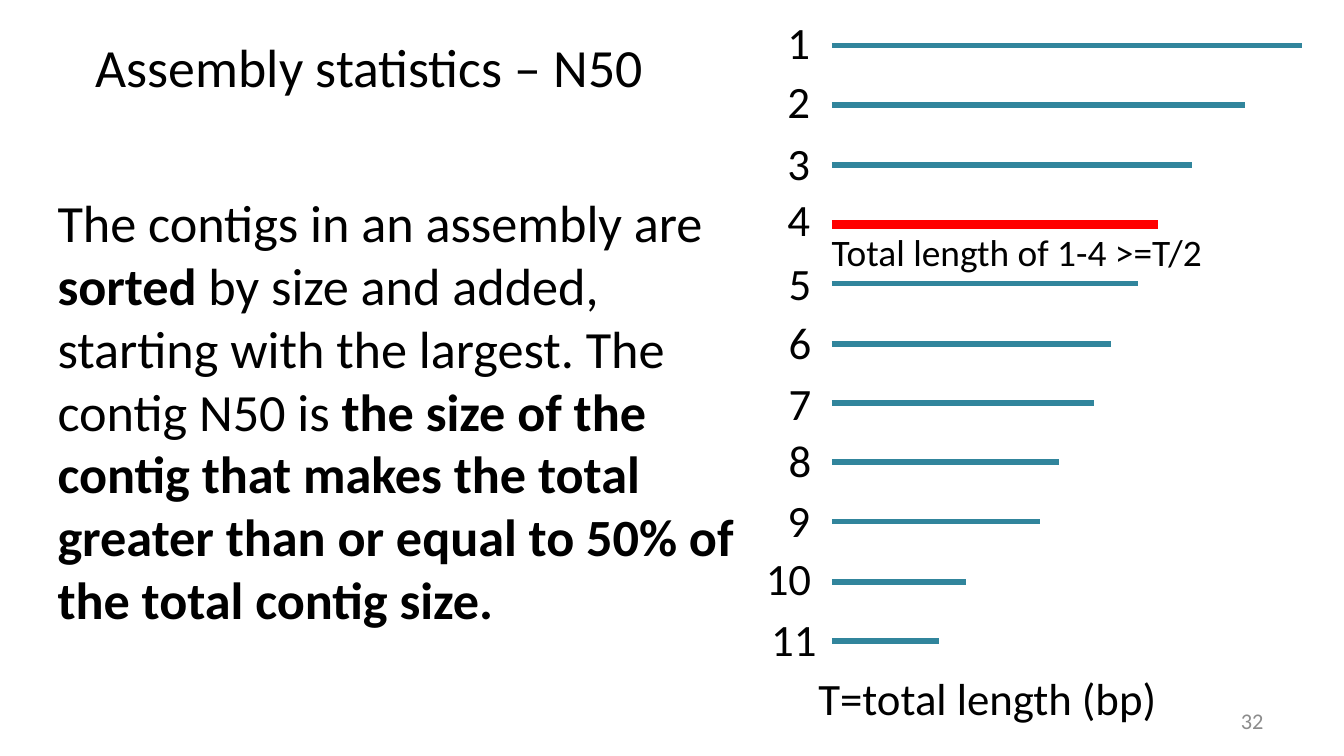
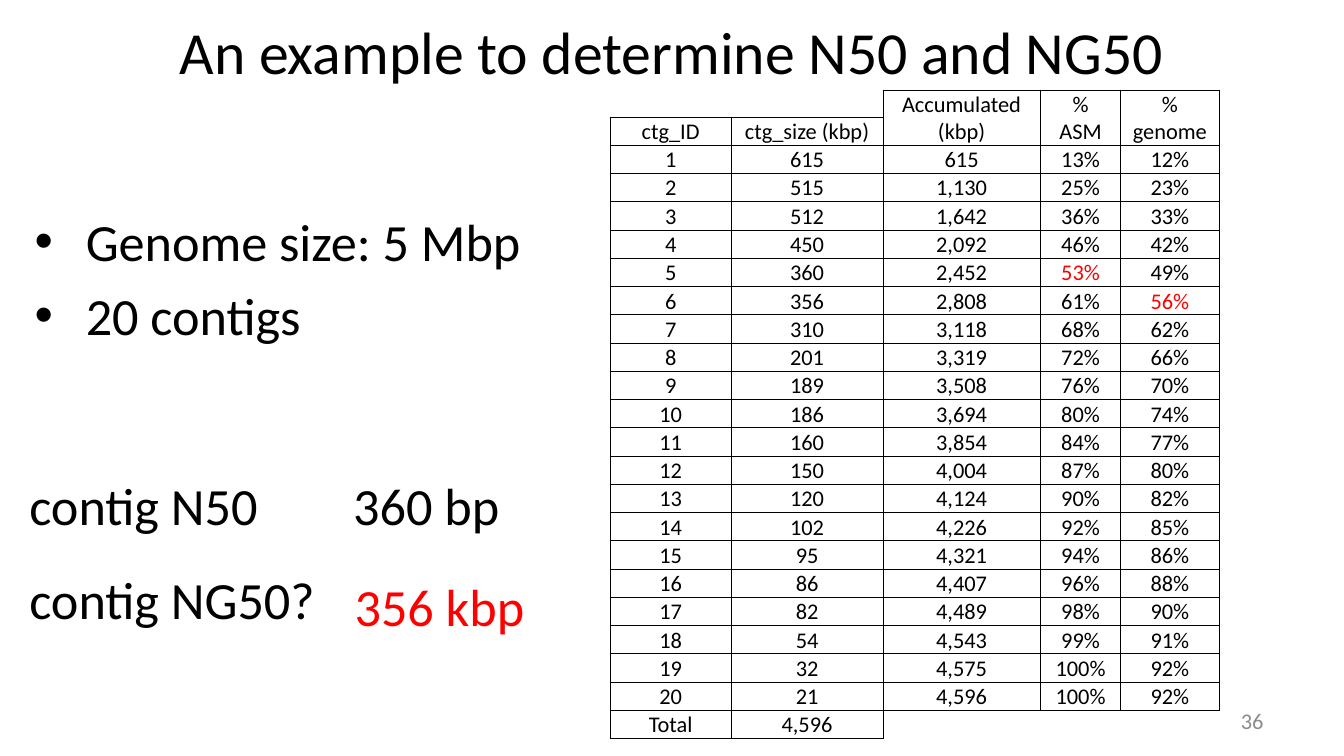
from itertools import accumulate
from lxml import etree
from pptx import Presentation
from pptx import util as u
from pptx.dml.color import RGBColor
from pptx.enum import shapes, text
from pptx.oxml.ns import qn

PX = 9144
FACE = "Calibri"
INK, RED, TEAL, GREY = "000000", "FF0000", "31859C", "8C8C8C"
LEFT, MID, RIGHT = text.PP_ALIGN.LEFT, text.PP_ALIGN.CENTER, text.PP_ALIGN.RIGHT
NUM = (717, 521, 233, 30)

INTRO = [
    ("The contigs in an assembly are ", False),
    ("sorted", True),
    (" by size and added, starting with the largest. The contig N50 is ", False),
    ("the size of the contig that makes the total greater than or equal to 50% "
     "of the total contig size.", True),
]
CONTIGS = [
    (576, 6, 350), (576, 50, 307), (576, 96, 268), (576, 138, 243),
    (577, 185, 228), (577, 229, 208), (577, 275, 195), (577, 317, 169),
    (576, 362, 155), (560, 405, 100), (564, 450, 80),
]
N50 = 4
BAR = {"x": 619, "y": 34, "step": 44.3}

FACTS = ["Genome size: 5 Mbp", "20 contigs"]
ASKS = ["contig N50\t360 bp", "contig NG50?"]
SIZES = [615, 515, 512, 450, 360, 356, 310, 201, 189, 186,
         160, 150, 120, 102, 95, 86, 82, 54, 32, 21]
GENOME = 5000
HALF = 50


def px(n):
    return u.Emu(round(n * PX))


def rgb(code):
    return RGBColor.from_string(code)


def put(obj, vals):
    for key, val in vals.items():
        setattr(obj, key, val)


def node(up, tag, **atts):
    return etree.SubElement(up, qn(tag), {k: str(v) for k, v in atts.items()})


def style(run, size, color=INK, bold=False):
    put(run.font, {"name": FACE, "size": u.Pt(size), "bold": bold})
    run.font.color.rgb = rgb(color)


def write(slide, at, paras, size, color=INK, align=LEFT, mid=False,
          wrap=True, grow=False, lead=None, gap=0, bullet=False, tab=None):
    box = slide.shapes.add_textbox(*map(px, at))
    frame = box.text_frame
    put(frame, {
        "word_wrap": wrap,
        "auto_size": text.MSO_AUTO_SIZE.SHAPE_TO_FIT_TEXT if grow
        else text.MSO_AUTO_SIZE.NONE,
        "vertical_anchor": text.MSO_ANCHOR.MIDDLE if mid else text.MSO_ANCHOR.TOP,
    })
    for i, para in enumerate(paras):
        p = frame.paragraphs[0] if i == 0 else frame.add_paragraph()
        props = p._p.get_or_add_pPr()
        if bullet:
            put_in = px(38)
            props.set("marL", str(put_in))
            props.set("indent", str(-put_in))
            node(props, "a:buFont", typeface="Arial")
            node(props, "a:buChar", char="•")
        if tab and "\t" in para:
            node(node(props, "a:tabLst"), "a:tab", pos=px(tab), algn="l")
        p.alignment = align
        if lead:
            p.line_spacing = lead
        if gap and i:
            p.space_before = u.Pt(gap)
        for words, bold in [(para, False)] if isinstance(para, str) else para:
            run = p.add_run()
            run.text = words
            style(run, size, color, bold)
    return box


def page(deck, title, at, size, num):
    slide = deck.slides.add_slide(deck.slide_layouts[6])
    write(slide, at, [title], size, align=MID, mid=True)
    write(slide, NUM, [num], 12, GREY, RIGHT, mid=True)
    return slide


def bar(slide, y, wide, color, thick):
    x = BAR["x"]
    line = slide.shapes.add_connector(
        shapes.MSO_CONNECTOR.STRAIGHT, px(x), px(y), px(x + wide), px(y))
    line.line.color.rgb = rgb(color)
    line.line.width = u.Pt(thick)
    node(line._element.spPr, "a:effectLst")


def edge(cell):
    props = cell._tc.get_or_add_tcPr()
    for side in "LRTB":
        ln = node(props, "a:ln" + side, w=u.Pt(0.5))
        node(node(ln, "a:solidFill"), "a:srgbClr", val=INK)


def grid(slide, left, top, cols, rows, head, marks=()):
    highs = [head] + [21] * (len(rows) - 1)
    table = slide.shapes.add_table(
        len(rows), len(cols), px(left), px(top), px(sum(cols)), px(sum(highs))).table
    put(table, {"first_row": False, "horz_banding": False})
    for col, wide in zip(table.columns, cols):
        col.width = px(wide)
    for r, row in enumerate(rows):
        table.rows[r].height = px(highs[r])
        for c, words in enumerate(row):
            cell = table.cell(r, c)
            put(cell, {
                "text": words, "vertical_anchor": text.MSO_ANCHOR.BOTTOM,
                "margin_left": px(1), "margin_right": px(1),
                "margin_top": px(1), "margin_bottom": 0,
            })
            edge(cell)
            cell.fill.background()
            for p in cell.text_frame.paragraphs:
                p.alignment = MID
                for run in p.runs:
                    style(run, 12, RED if (r, c) in marks else INK)


def stats(deck):
    slide = page(deck, "Assembly statistics – N50", (50, 18, 450, 63), 28.8, "32")
    write(slide, (33, 137, 546, 354), [INTRO], 28)
    for i, (left, top, wide) in enumerate(CONTIGS):
        hit = i + 1 == N50
        y = round(BAR["y"] + i * BAR["step"])
        bar(slide, y, wide, RED if hit else TEAL, 4.5 if hit else 3)
        label = str(i + 1)
        write(slide, (left, top, 37 if len(label) == 1 else 54, 50), [label], 24,
              wrap=False, grow=True)
    write(slide, (599, 494, 274, 50), ["T=total length (bp)"], 24, wrap=False, grow=True)
    write(slide, (609, 166, 298, 44), ["Total length of 1-4 >=T/2"], 20,
          wrap=False, grow=True)


def sample(deck):
    slide = page(deck, "An example to determine N50 and NG50", (50, 6, 900, 63), 32, "36")
    write(slide, (16, 151, 415, 121), FACTS, 28, gap=5.6, bullet=True)
    write(slide, (12, 324, 379, 144), ASKS, 28, grow=True, lead=1.5, tab=241)
    write(slide, (254, 399, 148, 73), ["356 kbp"], 28, RED, wrap=False, grow=True, lead=1.5)

    sums = list(accumulate(SIZES))
    total = sums[-1]
    sizes = [("ctg_ID", "ctg_size (kbp)")]
    sizes += [(str(i), str(n)) for i, n in enumerate(SIZES, 1)]
    sizes.append(("Total", f"{total:,}"))
    grid(slide, 454, 87, (90, 113), sizes, 21)

    shares = [[100 * n / whole for n in sums] for whole in (total, GENOME)]
    marks = [(next(r for r, s in enumerate(col, 1) if s >= HALF), c)
             for c, col in enumerate(shares, 1)]
    rows = [("Accumulated (kbp)", "%\nASM", "%\ngenome")]
    rows += [(f"{n:,}", f"{a:.0f}%", f"{g:.0f}%") for n, a, g in zip(sums, *shares)]
    grid(slide, 657, 67, (117, 60, 73), rows, 41, marks)


def main():
    deck = Presentation()
    put(deck, {"slide_width": px(1000), "slide_height": px(562.5)})
    stats(deck)
    sample(deck)
    deck.save("out.pptx")


if __name__ == "__main__":
    main()
